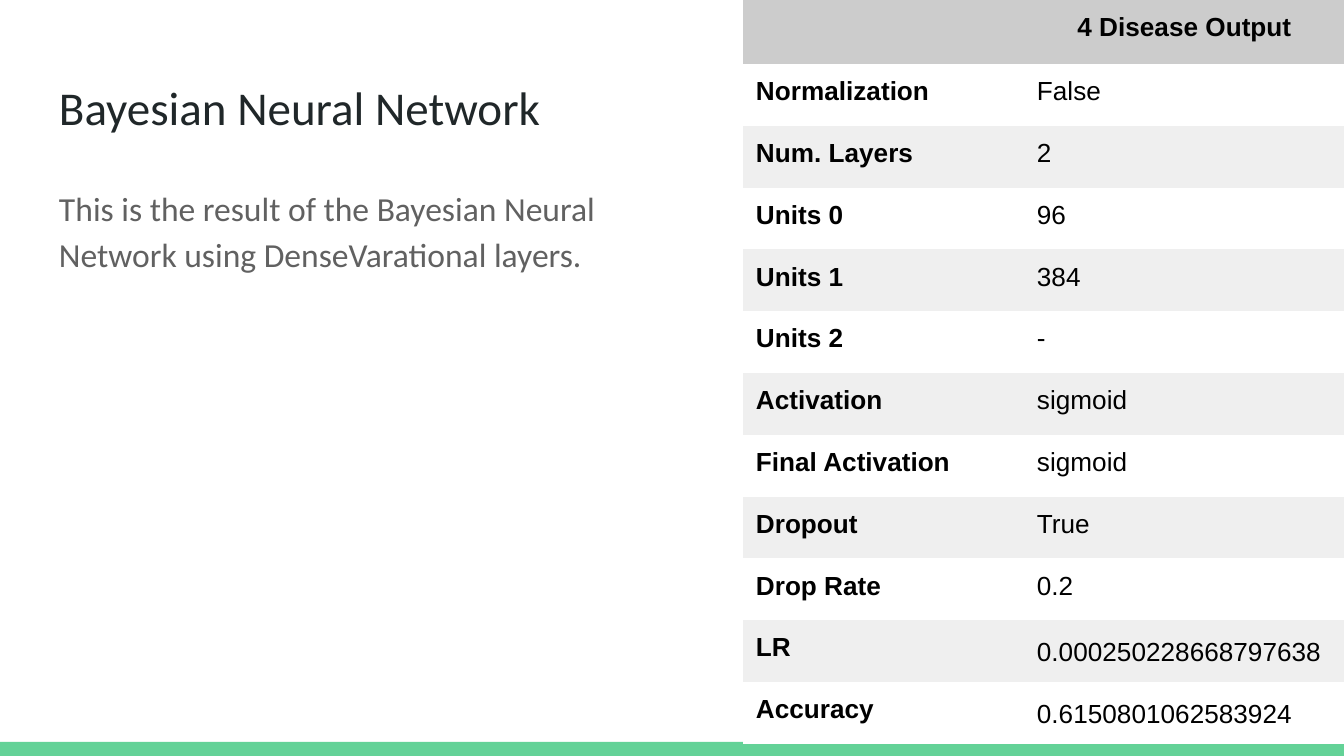
from dataclasses import dataclass

from pptx import Presentation
from pptx.dml.color import RGBColor
from pptx.enum.shapes import MSO_SHAPE
from pptx.enum.text import PP_ALIGN
from pptx.util import Pt

RECT = MSO_SHAPE.RECTANGLE
LEFT, CENTER = PP_ALIGN.LEFT, PP_ALIGN.CENTER
SCALE = 914400 / 134.4  # EMU per px
WIDTH, HEIGHT = 1344, 756
INSET = 13
PLAIN = "{2D5ABB26-0587-4C30-8999-92F81FD0307C}"  # table style without grid


@dataclass(frozen=True)
class Theme:
    green: str = "63D297"
    dark: str = "202729"
    gray: str = "616161"
    black: str = "000000"
    head: str = "CCCCCC"
    bands: tuple = ("FFFFFF", "EFEFEF")
    text: str = "Calibri"
    grid: str = "Arial"
    title: float = 25.2
    body: float = 18
    cell: float = 14


THEME = Theme()

ROWS = [
    ("Normalization", "False"),
    ("Num. Layers", "2"),
    ("Units 0", "96"),
    ("Units 1", "384"),
    ("Units 2", "-"),
    ("Activation", "sigmoid"),
    ("Final Activation", "sigmoid"),
    ("Dropout", "True"),
    ("Drop Rate", "0.2"),
    ("LR", "0.000250228668797638"),
    ("Accuracy", "0.6150801062583924"),
]
LOOSE = ("LR", "Accuracy")  # values with wider line spacing


def px(n):
    return round(n * SCALE)


def paint(fill, color):
    fill.solid()
    fill.fore_color.rgb = RGBColor.from_string(color)


def style(para, face, size, color, bold=False):
    font = para.font
    font.name, font.size, font.bold = face, Pt(size), bold
    font.color.rgb = RGBColor.from_string(color)


def pad(area):
    area.margin_left = area.margin_right = px(INSET)
    area.margin_top = area.margin_bottom = px(INSET)


def add_bar(slide, x, y, w, h):
    bar = slide.shapes.add_shape(RECT, px(x), px(y), px(w), px(h))
    bar.shadow.inherit = False
    paint(bar.fill, THEME.green)
    bar.line.fill.background()


def add_text(slide, text, x, y, w, h, size, color):
    frame = slide.shapes.add_textbox(px(x), px(y), px(w), px(h)).text_frame
    frame.word_wrap = True
    pad(frame)
    para = frame.paragraphs[0]
    para.text = text
    style(para, THEME.text, size, color)
    return para


def set_cell(cell, text, fill, bold, align=LEFT):
    pad(cell)
    paint(cell.fill, fill)
    para = cell.text_frame.paragraphs[0]
    para.text = text
    para.alignment = align
    style(para, THEME.grid, THEME.cell, THEME.black, bold)
    return para


def add_grid(slide, x, y, cols, head, total):
    shape = slide.shapes.add_table(
        len(ROWS) + 1, len(cols), px(x), px(y), px(sum(cols)), px(total))
    table = shape.table
    table.first_row = table.horz_banding = False
    table._tbl.tblPr[0].text = PLAIN
    for col, width in zip(table.columns, cols):
        col.width = px(width)
    for row in table.rows:
        row.height = px((total - head) / len(ROWS))
    table.rows[0].height = px(head)

    # Header
    for col, text in enumerate(("", "4 Disease Output")):
        set_cell(table.cell(0, col), text, THEME.head, True, CENTER)

    # Banded settings
    for i, (name, value) in enumerate(ROWS):
        fill = THEME.bands[i % 2]
        set_cell(table.cell(i + 1, 0), name, fill, True)
        para = set_cell(table.cell(i + 1, 1), value, fill, False)
        if name in LOOSE:
            para.line_spacing = 1.15


def main():
    deck = Presentation()
    deck.slide_width, deck.slide_height = px(WIDTH), px(HEIGHT)
    slide = deck.slides.add_slide(deck.slide_layouts[6])

    # Footer bar
    add_bar(slide, 0, 742, WIDTH, 14)

    # Title and summary
    add_text(slide, "Bayesian Neural Network", 46, 66, 1252, 85,
             THEME.title, THEME.dark)
    para = add_text(
        slide,
        "This is the result of the Bayesian Neural Network using "
        "DenseVarational layers.",
        46, 169, 640, 503, THEME.body, THEME.gray)
    para.line_spacing = 1.15
    para.space_after = Pt(12)

    # Settings and result
    add_grid(slide, 743, 0, (281, 321), 64, 744)

    deck.save("out.pptx")


if __name__ == "__main__":
    main()
